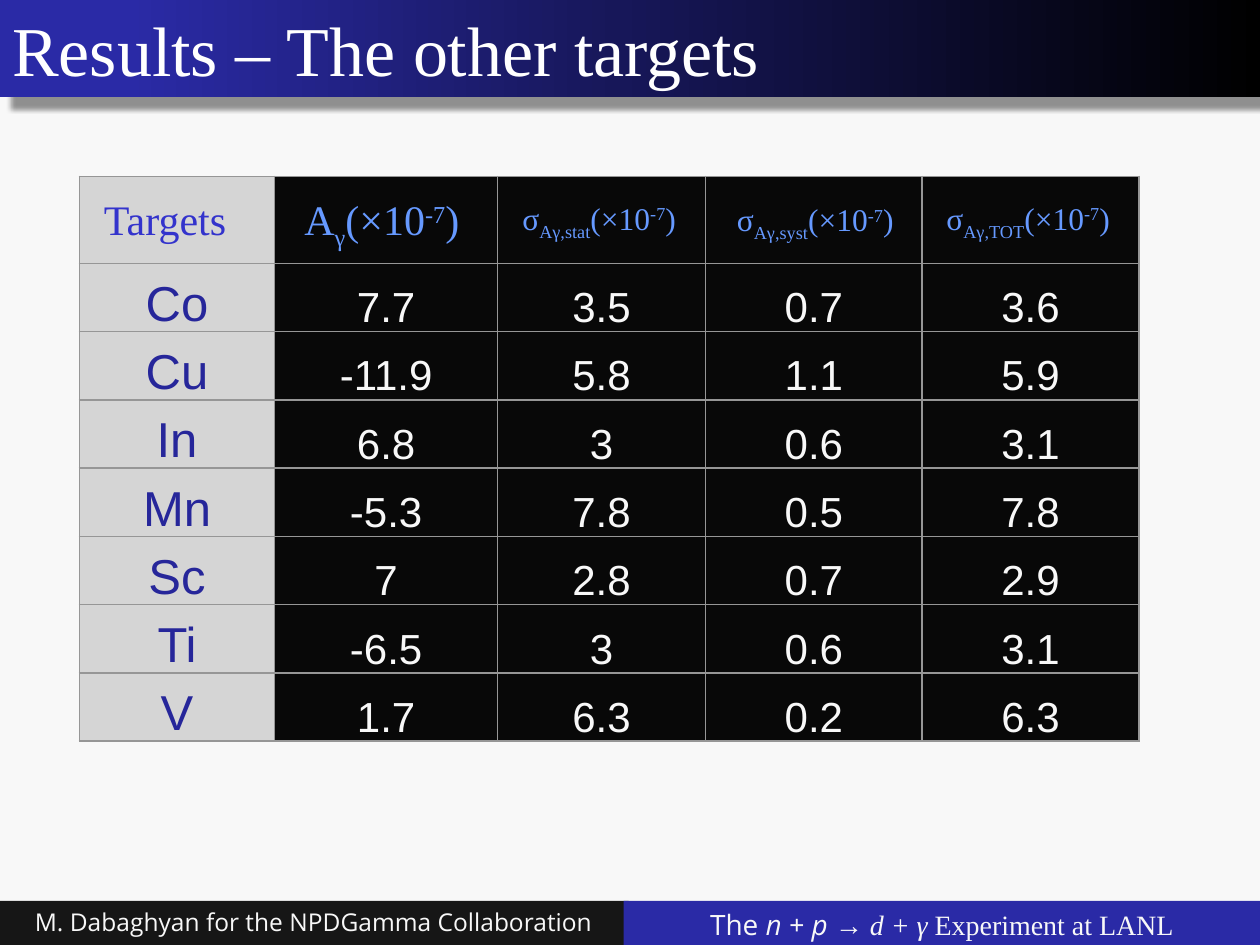
import pptx
import pptx.dml.color
import pptx.enum.shapes
import pptx.enum.text
import pptx.oxml
import pptx.oxml.ns
import pptx.util
from pptx.util import Inches

ALIGN = pptx.enum.text.PP_ALIGN
ANCHOR = pptx.enum.text.MSO_ANCHOR
NS = pptx.oxml.ns.nsdecls("a")
SERIF, SANS, FOOTER = "Times New Roman", "Arial", "Open Sans"
PALE, BLACK, BLUE, GREY = "F8F8F8", "080808", "2A2AA6", "D5D5D5"


def color(value):
    return pptx.dml.color.RGBColor.from_string(value)


def write(paragraph, text, font=SERIF, size=18, fill=PALE, italic=False, base=0):
    run = paragraph.add_run()
    run.text = text
    run.font.name = font
    run.font.size = pptx.util.Pt(size)
    run.font.color.rgb = color(fill)
    run.font.italic = italic
    if base:
        run.font._element.set("baseline", str(base * 1000))


class Deck:
    def __init__(self, background):
        self.prs = pptx.Presentation()
        self.prs.slide_width, self.prs.slide_height = Inches(10), Inches(7.5)
        self.slide = self.prs.slides.add_slide(self.prs.slide_layouts[6])
        self.slide.background.fill.solid()
        self.slide.background.fill.fore_color.rgb = color(background)

    def bar(self, left, top, width, height, fill, align, anchor, runs):
        shape = self.slide.shapes.add_shape(
            pptx.enum.shapes.MSO_SHAPE.RECTANGLE,
            Inches(left), Inches(top), Inches(width), Inches(height))
        shape.shadow.inherit = False
        shape.line.fill.background()
        shape.fill.solid()
        shape.fill.fore_color.rgb = color(fill)
        shape.text_frame.word_wrap = True
        shape.text_frame.vertical_anchor = anchor
        paragraph = shape.text_frame.paragraphs[0]
        paragraph.alignment = align
        for text, style in runs:
            write(paragraph, text, **style)
        return shape

    def gradient_and_shadow(self, shape, stops):
        properties = shape._element.spPr
        stop_list = "".join(
            f'<a:gs pos="{position * 1000}"><a:srgbClr val="{value}"/></a:gs>'
            for position, value in stops)
        gradient = pptx.oxml.parse_xml(
            f'<a:gradFill {NS} rotWithShape="1"><a:gsLst>{stop_list}</a:gsLst>'
            '<a:lin ang="10800000" scaled="0"/></a:gradFill>')
        solid = properties.find(pptx.oxml.ns.qn("a:solidFill"))
        properties.replace(solid, gradient)
        shadow = pptx.oxml.parse_xml(
            f'<a:outerShdw {NS} blurRad="{pptx.util.Pt(3)}" dist="{pptx.util.Pt(9)}" '
            'dir="2700000" algn="ctr" rotWithShape="0"><a:srgbClr val="000000">'
            '<a:alpha val="42000"/></a:srgbClr></a:outerShdw>')
        properties.find(pptx.oxml.ns.qn("a:effectLst")).append(shadow)

    def label(self, left, top, width, height, runs, **style):
        box = self.slide.shapes.add_textbox(
            Inches(left), Inches(top), Inches(width), Inches(height))
        box.text_frame.word_wrap = False
        box.text_frame.auto_size = pptx.enum.text.MSO_AUTO_SIZE.SHAPE_TO_FIT_TEXT
        paragraph = box.text_frame.paragraphs[0]
        paragraph.alignment = ALIGN.CENTER
        for text, base in runs:
            write(paragraph, text, base=base, **style)

    def table(self, left, top, widths, heights, rows):
        table = self.slide.shapes.add_table(
            len(heights), len(widths), Inches(left), Inches(top),
            Inches(sum(widths)), Inches(sum(heights))).table
        table.first_row = table.horz_banding = False
        for column, width in zip(table.columns, widths):
            column.width = Inches(width)
        for row, height in zip(table.rows, heights):
            row.height = Inches(height)
        for r, row in enumerate(rows):
            for c, text in enumerate(row):
                self.cell(table.cell(r, c), text, is_target=c == 0)

    def cell(self, cell, text, is_target):
        for side in ("lnL", "lnR", "lnT", "lnB"):
            cell._tc.get_or_add_tcPr().append(pptx.oxml.parse_xml(
                f'<a:{side} {NS} w="{pptx.util.Pt(1)}"><a:solidFill>'
                f'<a:srgbClr val="969696"/></a:solidFill></a:{side}>'))
        cell.fill.solid()
        cell.fill.fore_color.rgb = color(GREY if is_target else BLACK)
        if not text:
            return
        cell.margin_left = cell.margin_right = cell.margin_top = cell.margin_bottom = 0
        cell.vertical_anchor = ANCHOR.BOTTOM
        paragraph = cell.text_frame.paragraphs[0]
        paragraph.alignment = ALIGN.CENTER
        write(paragraph, text, font=SANS, size=28 if is_target else 24,
              fill="26269A" if is_target else PALE)


def main():
    deck = Deck(PALE)

    # Title
    title = deck.bar(0, 0, 10, 0.77, BLUE, ALIGN.LEFT, ANCHOR.MIDDLE,
                     [("Results – The other targets", dict(size=40, fill="FFFFFF"))])
    deck.gradient_and_shadow(title, [(0, "000000"), (51, "171759"), (90, BLUE)])

    # Asymmetries and errors per target; the header row is labelled below
    results = [
        [""] * 5,
        ["Co", "7.7", "3.5", "0.7", "3.6"],
        ["Cu", "-11.9", "5.8", "1.1", "5.9"],
        ["In", "6.8", "3", "0.6", "3.1"],
        ["Mn", "-5.3", "7.8", "0.5", "7.8"],
        ["Sc", "7", "2.8", "0.7", "2.9"],
        ["Ti", "-6.5", "3", "0.6", "3.1"],
        ["V", "1.7", "6.3", "0.2", "6.3"],
    ]
    deck.table(0.63, 1.4, [1.55, 1.77, 1.65, 1.72, 1.72], [0.69] + [0.542] * 7, results)

    # Column labels
    deck.label(0.72, 1.49, 1.18, 0.5, [("Targets", 0)], size=24, fill="3333CC")
    quantities = [
        (2.29, 1.49, 1.48, 0.5, 24, "A", "γ"),
        (4, 1.53, 1.51, 0.4, 18, "σ", "Aγ,stat"),
        (5.7, 1.54, 1.54, 0.4, 18, "σ", "Aγ,syst"),
        (7.36, 1.53, 1.6, 0.4, 18, "σ", "Aγ,TOT"),
    ]
    for left, top, width, height, size, symbol, index in quantities:
        runs = [(symbol, 0), (index, -25), ("(×10", 0), ("-7", 30), (")", 0)]
        deck.label(left, top, width, height, runs, size=size, fill="6699FF")

    # Footer
    deck.bar(-0.01, 7.15, 5, 0.35, "161616", ALIGN.CENTER, ANCHOR.TOP,
             [("M. Dabaghyan for the NPDGamma Collaboration", dict(font=FOOTER, size=14))])
    deck.bar(4.95, 7.15, 5.05, 0.35, BLUE, ALIGN.CENTER, ANCHOR.TOP, [
        ("The ", dict(font=FOOTER, size=16)),
        ("n + p ", dict(font=FOOTER, size=16, italic=True)),
        ("→ d + γ ", dict(size=16, italic=True)),
        ("Experiment at LANL", dict(size=16)),
    ])

    deck.prs.save("out.pptx")


if __name__ == "__main__":
    main()
